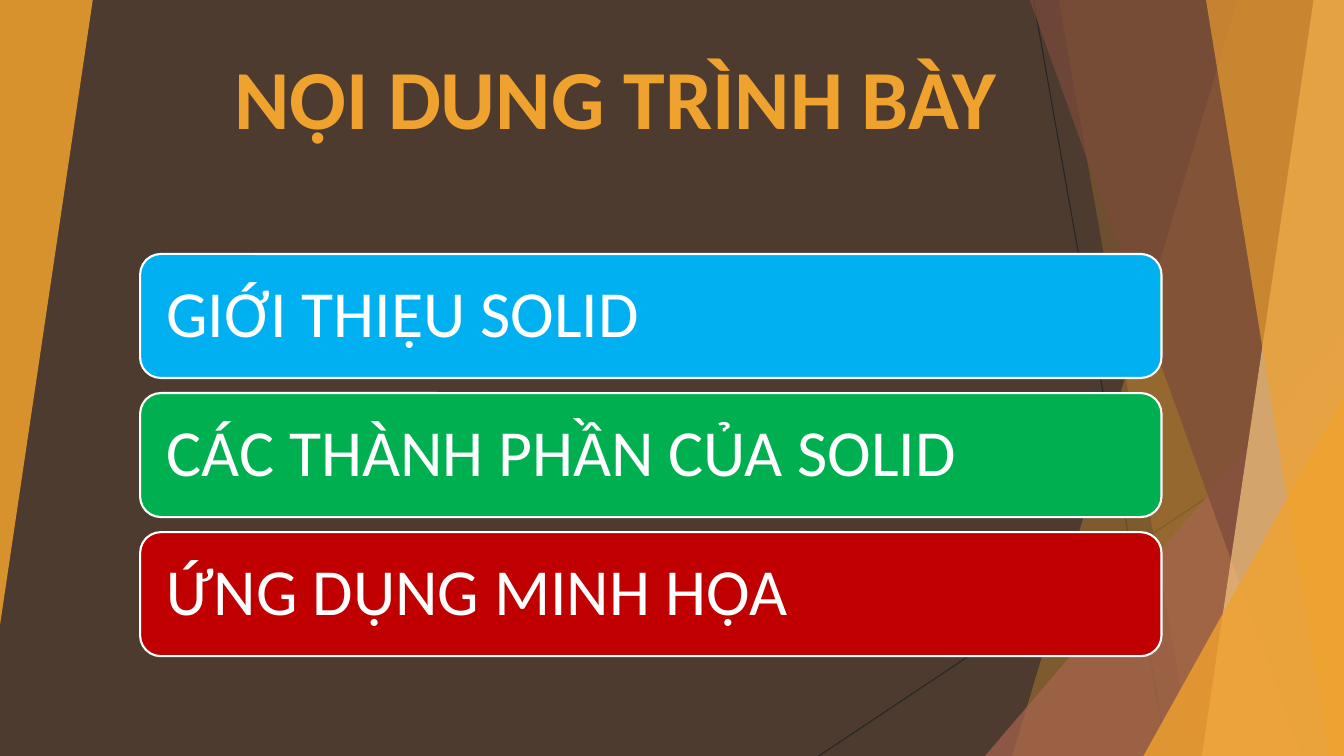
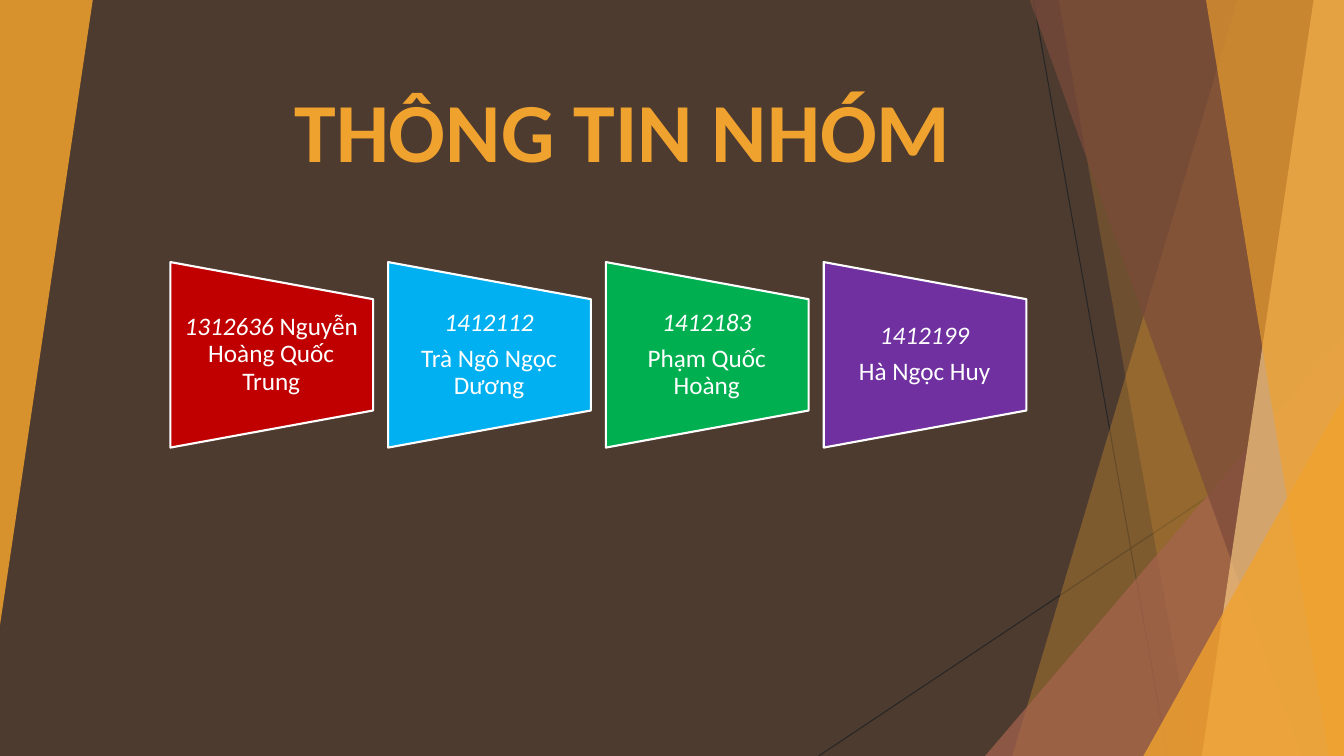
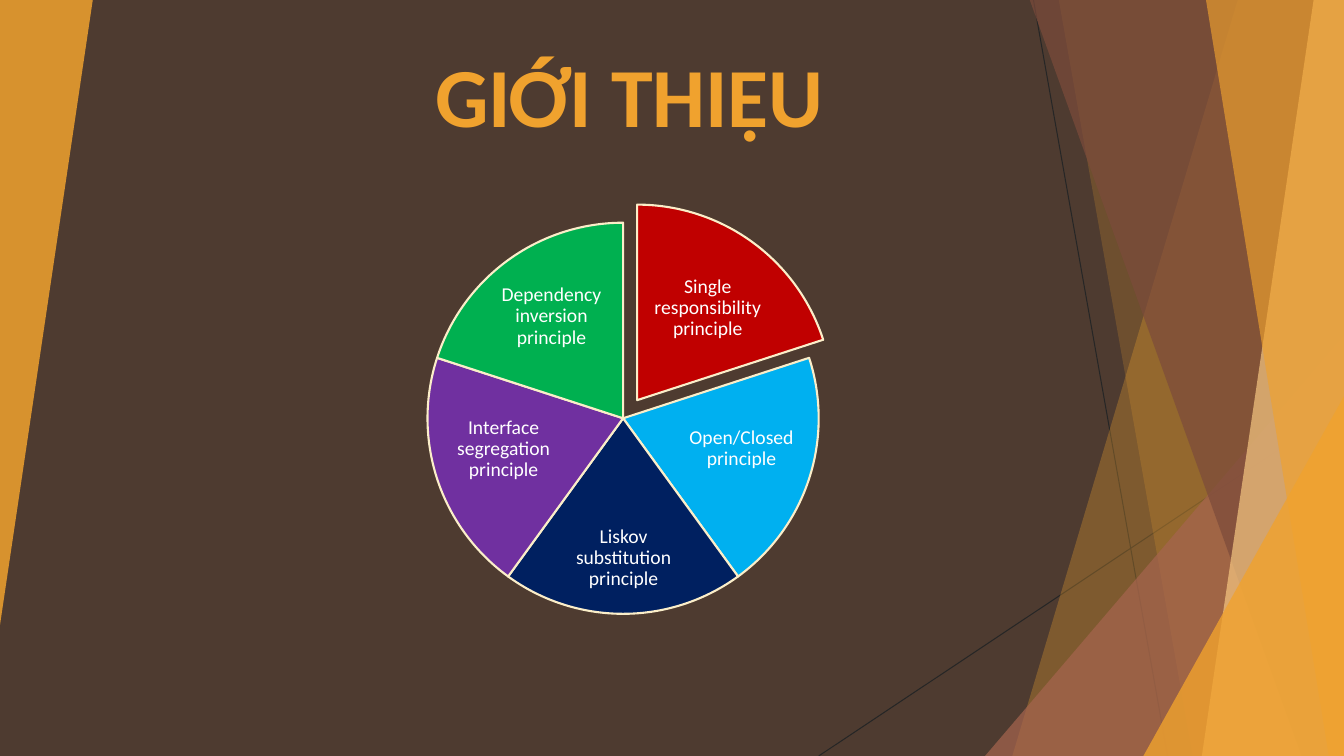
import pptx
import pptx.util
import pptx.dml.color
import pptx.enum.shapes
import pptx.enum.text
import pptx.oxml
import pptx.oxml.ns

Inches = pptx.util.Inches
Kind = pptx.enum.shapes.MSO_SHAPE
Align = pptx.enum.text.PP_ALIGN
Anchor = pptx.enum.text.MSO_ANCHOR

WIDE, HIGH = 13.33, 7.5
FONT = "Calibri"
BROWN, GOLD, WHITE, CREAM = "4E3B30", "F0A22E", "FFFFFF", "FBEEC9"
RED, BLUE, GREEN, PURPLE, NAVY = "C00000", "00B0F0", "00B050", "7030A0", "002060"


def color(code):
    return pptx.dml.color.RGBColor.from_string(code)


def paint(shape, fill, edge=None, alpha=None):
    shape.shadow.inherit = False
    shape.fill.solid()
    shape.fill.fore_color.rgb = color(fill)
    if edge:
        shape.line.color.rgb = color(edge)
        shape.line.width = pptx.util.Pt(1.5)
    else:
        shape.line.fill.background()
    if alpha:
        tint = shape.element.xpath("./p:spPr/a:solidFill/a:srgbClr")[0]
        node = pptx.oxml.parse_xml("<a:alpha %s/>" % pptx.oxml.ns.nsdecls("a"))
        node.set("val", str(alpha * 1000))
        tint.append(node)


def block(slide, kind, box, fill, edge=None, alpha=None):
    shape = slide.shapes.add_shape(kind, *map(Inches, box))
    paint(shape, fill, edge, alpha)
    return shape


def beam(slide, top, foot, fill, alpha):
    pen = slide.shapes.build_freeform(Inches(top), Inches(-0.01))
    ends = [(WIDE, -0.01), (WIDE, HIGH), (foot, HIGH)]
    pen.add_line_segments([(Inches(x), Inches(y)) for x, y in ends], close=True)
    paint(pen.convert_to_shape(), fill, alpha=alpha)


def wedge(slide, box, fill, alpha, turn=0):
    shape = block(slide, Kind.ISOSCELES_TRIANGLE, box, fill, alpha=alpha)
    shape.adjustments[0] = 1
    shape.rotation = turn


def ray(slide, ends):
    line = slide.shapes.add_connector(
        pptx.enum.shapes.MSO_CONNECTOR.STRAIGHT, *map(Inches, ends))
    line.line.color.rgb = color("262626")
    line.line.width = pptx.util.Pt(0.75)
    line.element.spPr.append(
        pptx.oxml.parse_xml("<a:effectLst %s/>" % pptx.oxml.ns.nsdecls("a")))


def dress(deck, slide):
    master = deck.slide_master
    master.background.fill.solid()
    master.background.fill.fore_color.rgb = color(BROWN)
    ray(slide, (10.25, 0, 11.58, HIGH))
    ray(slide, (WIDE, 4.03, 8.12, HIGH))
    beam(slide, 12.28, 10.04, GOLD, 30)
    beam(slide, 10.5, 11.83, GOLD, 20)
    wedge(slide, (9.77, 3.33, 3.56, 4.17), "A5644E", 72)
    beam(slide, 10.21, 12.91, "7C4B3B", 70)
    beam(slide, 13.03, 11.92, "F6C782", 70)
    beam(slide, 11.96, 13.18, GOLD, 65)
    wedge(slide, (11.34, 3.93, 1.99, 3.57), GOLD, 80)
    wedge(slide, (0, 0, 0.92, 6.2), GOLD, 85, 180)
    for num, shape in enumerate(list(slide.shapes)[1:], 20):
        shape.element.xpath(".//p:cNvPr")[0].set("id", str(num))
        master.shapes.element.append(shape.element)


def style(frame, size, hue, align, pads=None, anchor=Anchor.MIDDLE):
    frame.word_wrap = True
    frame.auto_size = pptx.enum.text.MSO_AUTO_SIZE.NONE
    frame.vertical_anchor = anchor
    if pads:
        (frame.margin_left, frame.margin_top,
         frame.margin_right, frame.margin_bottom) = map(Inches, pads)
    for para in frame.paragraphs:
        para.alignment = align
        for run in para.runs:
            run.font.name = FONT
            run.font.size = pptx.util.Pt(size)
            run.font.color.rgb = color(hue)


def space(frame, size):
    for para in frame.paragraphs:
        para.line_spacing = 0.9
        para.space_after = pptx.util.Pt(round(size * 0.35, 1))


def label(slide, box, text, size, pads):
    frame = slide.shapes.add_textbox(*map(Inches, box)).text_frame
    frame.text = text
    style(frame, size, WHITE, Align.CENTER, pads)
    space(frame, size)
    return frame


def head(slide, box, text):
    title = slide.shapes.title
    title.left, title.top, title.width, title.height = map(Inches, box)
    title.text_frame.text = text
    style(title.text_frame, 60, GOLD, Align.CENTER, anchor=Anchor.BOTTOM)
    title.text_frame.paragraphs[0].runs[0].font.bold = True


def agenda(slide, box, items):
    left, top, width, height = box
    step = 1.38
    tall = height - step * (len(items) - 1)
    for row, (text, fill) in enumerate(items):
        bar = block(slide, Kind.ROUNDED_RECTANGLE,
                    (left, top + row * step, width, tall), fill, WHITE)
        bar.text_frame.text = text
        style(bar.text_frame, 47, WHITE, Align.LEFT, (0.2,) * 4)
        space(bar.text_frame, 47)


def team(slide, box, people):
    left, top, width, height = box
    step = 2.16
    wide = width - step * (len(people) - 1)
    for col, (code, name, gap, fill) in enumerate(people):
        x = left + col * step
        card = block(slide, Kind.FLOWCHART_MANUAL_OPERATION,
                     (x + (wide - height) / 2, top + (height - wide) / 2,
                      height, wide), fill, WHITE)
        card.rotation = 270
        frame = label(slide, (x, top + height * 0.2, wide, height * 0.6),
                      code + gap + name, 18, (0.12, 0, 0.13, 0))
        first = frame.paragraphs[0]
        if gap == " ":
            first.runs[0].text = code
            rest = first.add_run()
            rest.text = gap + name
            style(frame, 18, WHITE, Align.CENTER)
        first.runs[0].font.italic = True


def wheel(slide, box, parts):
    left, top, size = box
    sweep = 216 / len(parts)
    for num, (text, fill, spot, shift) in enumerate(parts):
        dx, dy = shift
        slice = block(slide, Kind.PIE, (left + dx, top + dy, size, size), fill, CREAM)
        slice.adjustments[0] = (162 + num * sweep) % 216
        slice.adjustments[1] = (162 + (num + 1) * sweep) % 216
        x, y, wide, tall = spot
        label(slide, (left + x, top + y, wide, tall), text, 14, (0.02,) * 4)


deck = pptx.Presentation()
deck.slide_width, deck.slide_height = Inches(WIDE), Inches(HIGH)
plan, group, intro = [deck.slides.add_slide(deck.slide_layouts[5]) for _ in range(3)]
dress(deck, plan)

head(plan, (1.86, 0.39, 8.49, 1.11), "NỘI DUNG TRÌNH BÀY")
agenda(plan, (1.39, 2.52, 10.13, 3.99), [
    ("GIỚI THIỆU SOLID", BLUE),
    ("CÁC THÀNH PHẦN CỦA SOLID", GREEN),
    ("ỨNG DỤNG MINH HỌA", RED),
])

head(group, (1.93, 0.65, 8.49, 1.18), "THÔNG TIN NHÓM")
team(group, (1.69, 2.6, 8.49, 1.84), [
    ("1312636", "Nguyễn Hoàng Quốc Trung", " ", RED),
    ("1412112", "Trà Ngô Ngọc Dương", "\n", BLUE),
    ("1412183", "Phạm Quốc Hoàng", "\n", GREEN),
    ("1412199", "Hà Ngọc Huy", "\n", PURPLE),
])

head(intro, (2, 0.42, 8.49, 1.06), "GIỚI THIỆU")
wheel(intro, (4.24, 2.21, 3.88), [
    ("Single responsibility principle", RED, (2.12, 0.4, 1.32, 0.9), (0.14, -0.18)),
    ("Open/Closed principle", BLUE, (2.54, 1.76, 1.15, 0.97), (0, 0)),
    ("Liskov substitution principle", NAVY, (1.25, 2.91, 1.39, 0.83), (0, 0)),
    ("Interface segregation principle", PURPLE, (0.18, 1.76, 1.15, 0.97), (0, 0)),
    ("Dependency inversion principle", GREEN, (0.57, 0.48, 1.32, 0.9), (0, 0)),
])

deck.save("out.pptx")
